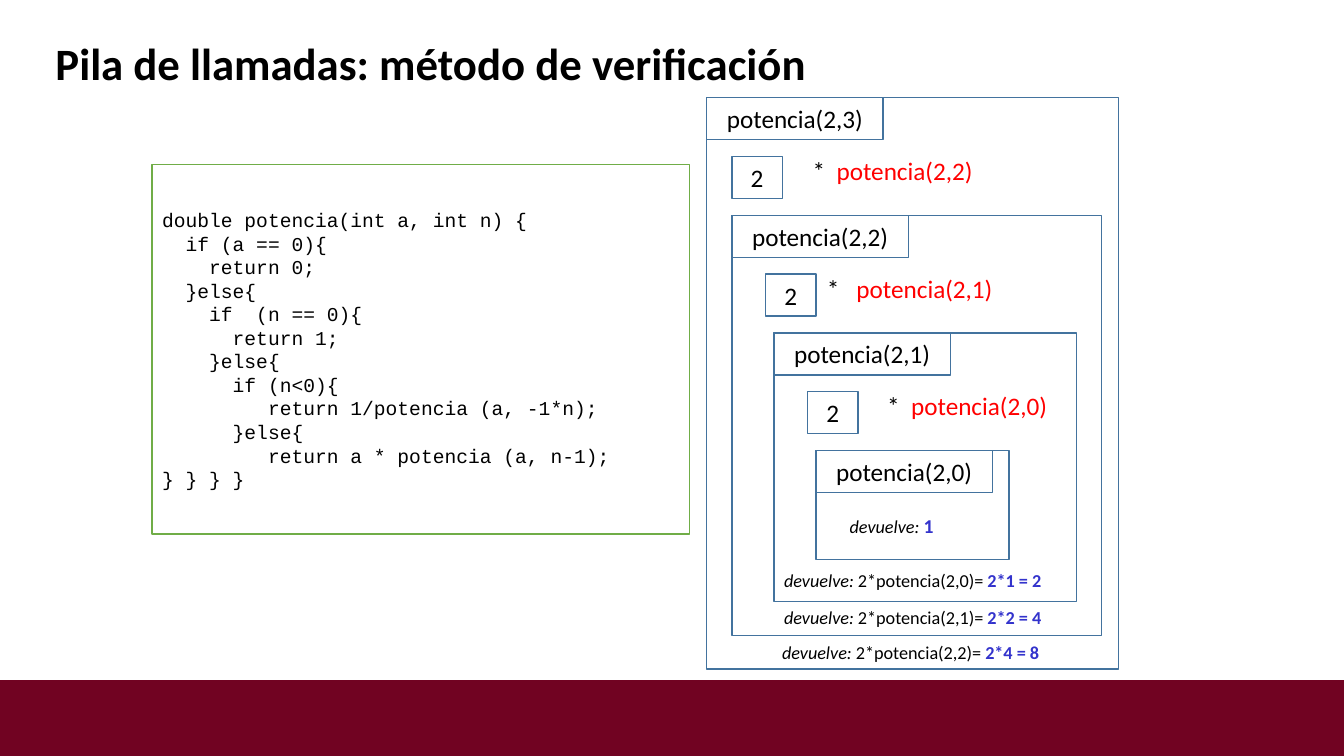
"""Build a slide that traces the call stack of a recursive power function."""
from pptx import Presentation
from pptx.dml.color import RGBColor
from pptx.enum.shapes import MSO_SHAPE as Preset
from pptx.enum.text import MSO_ANCHOR as Anchor, MSO_AUTO_SIZE as AutoSize, PP_ALIGN as Align
from pptx.util import Pt

TITLE = "Pila de llamadas: método de verificación"
CODE = [
    "double potencia(int a, int n) {",
    "  if (a == 0){",
    "    return 0;",
    "  }else{",
    "    if  (n == 0){",
    "      return 1;",
    "    }else{",
    "      if (n<0){",
    "         return 1/potencia (a, -1*n);",
    "      }else{",
    "         return a * potencia (a, n-1);",
    "} } } }",
]
FRAMES = [
    {"call": "potencia(2,3)", "left": 504.8, "size": (294, 408), "indent": 18,
     "operator": "*  ", "next_width": 157.7, "result": "2*4 = 8", "result_at": (551.5, 454.4)},
    {"call": "potencia(2,2)", "left": 522.8, "size": (264, 300), "indent": 24,
     "operator": "*   ", "next_width": 134, "result": "2*2 = 4", "result_at": (553, 429.8)},
    {"call": "potencia(2,1)", "left": 552.8, "size": (216, 192), "indent": 24,
     "operator": "*  ", "next_width": 156.2, "result": "2*1 = 2", "result_at": (553, 403.2)},
    {"call": "potencia(2,0)", "left": 582.8, "size": (138, 78),
     "result": "1", "result_at": (599.8, 363.6)},
]
COLORS = {"band": "710322", "code": "70AD47", "frame": "43739E", "white": "FFFFFF",
          "text": "000000", "next": "FF0000", "result": "3333CC"}
FIRST_TOP, FRAME_STEP = 69.8, 84
TAB_WIDTH, BOX_HEIGHT, FACTOR_WIDTH = 126, 30, 36
FACTOR_DROP, NEXT_DROP = 42, 37


def add_run(paragraph, text, size, color="text", name="Calibri", bold=False, italic=False):
    """Append one formatted run."""
    run = paragraph.add_run()
    run.text = text
    font = run.font
    font.name, font.size, font.bold, font.italic = name, Pt(size), bold, italic
    font.color.rgb = RGBColor.from_string(COLORS[color])


def add_box(slide, left, top, width, height, line, fill=None, label=None):
    """Add an outlined rectangle, with a centred label if one is given."""
    shape = slide.shapes.add_shape(Preset.RECTANGLE, Pt(left), Pt(top), Pt(width), Pt(height))
    shape.shadow.inherit = False
    shape.line.color.rgb = RGBColor.from_string(COLORS[line])
    shape.line.width = Pt(1)
    if fill:
        shape.fill.solid()
        shape.fill.fore_color.rgb = RGBColor.from_string(COLORS[fill])
    else:
        shape.fill.background()
    shape.text_frame.vertical_anchor = Anchor.MIDDLE
    if label:
        paragraph = shape.text_frame.paragraphs[0]
        paragraph.alignment = Align.CENTER
        add_run(paragraph, label, 18)
    return shape


def add_text(slide, left, top, width, height, align=Align.LEFT, anchor=Anchor.TOP):
    """Add a text box and return its paragraph."""
    frame = slide.shapes.add_textbox(Pt(left), Pt(top), Pt(width), Pt(height)).text_frame
    frame.word_wrap = True
    frame.vertical_anchor = anchor
    frame.paragraphs[0].alignment = align
    return frame.paragraphs[0]


def add_title(slide):
    """Place and fill the title placeholder."""
    title = slide.shapes.title
    title.left, title.top, title.width, title.height = Pt(32.4), Pt(26.6), Pt(862.6), Pt(40)
    frame = title.text_frame
    frame.auto_size = AutoSize.NONE
    frame.vertical_anchor = Anchor.TOP
    paragraph = frame.paragraphs[0]
    paragraph.alignment = Align.LEFT
    paragraph.line_spacing = 0.9
    add_run(paragraph, TITLE, 32, bold=True)


def add_code(slide):
    """Add the code listing."""
    frame = add_box(slide, 108.7, 117.4, 383.8, 264.2, "code", "white").text_frame
    for index, line in enumerate(CODE):
        paragraph = frame.add_paragraph() if index else frame.paragraphs[0]
        paragraph.alignment = Align.LEFT
        add_run(paragraph, line, 14, name="Courier New")


def add_call(slide, level, call, inner):
    """Add one stack frame with its factor, its inner call and its result."""
    left, top = call["left"], FIRST_TOP + level * FRAME_STEP
    add_box(slide, left, top, *call["size"], "frame")
    add_box(slide, left, top, TAB_WIDTH, BOX_HEIGHT, "frame", label=call["call"])
    if inner:
        factor_left = left + call["indent"]
        add_box(slide, factor_left, top + FACTOR_DROP, FACTOR_WIDTH, BOX_HEIGHT, "frame", label="2")
        paragraph = add_text(slide, factor_left + FACTOR_WIDTH, top + NEXT_DROP,
                             call["next_width"], BOX_HEIGHT, Align.CENTER, Anchor.MIDDLE)
        add_run(paragraph, call["operator"], 18)
        add_run(paragraph, inner["call"], 18, "next")
    paragraph = add_text(slide, *call["result_at"], 217.4 if inner else 82.8, 23)
    add_run(paragraph, "devuelve: ", 13, italic=True)
    if inner:
        add_run(paragraph, f"2*{inner['call']}= ", 13)
    add_run(paragraph, call["result"], 13 if inner else 14, "result", bold=True)


def main():
    """Build and save the slide."""
    presentation = Presentation()
    presentation.slide_width, presentation.slide_height = Pt(960), Pt(540)
    slide = presentation.slides.add_slide(presentation.slide_layouts[5])
    add_box(slide, 0, 486.4, 960, 53.6, "band", "band")
    add_title(slide)
    add_code(slide)
    for level, (call, inner) in enumerate(zip(FRAMES, FRAMES[1:] + [None])):
        add_call(slide, level, call, inner)
    presentation.save("out.pptx")


if __name__ == "__main__":
    main()
